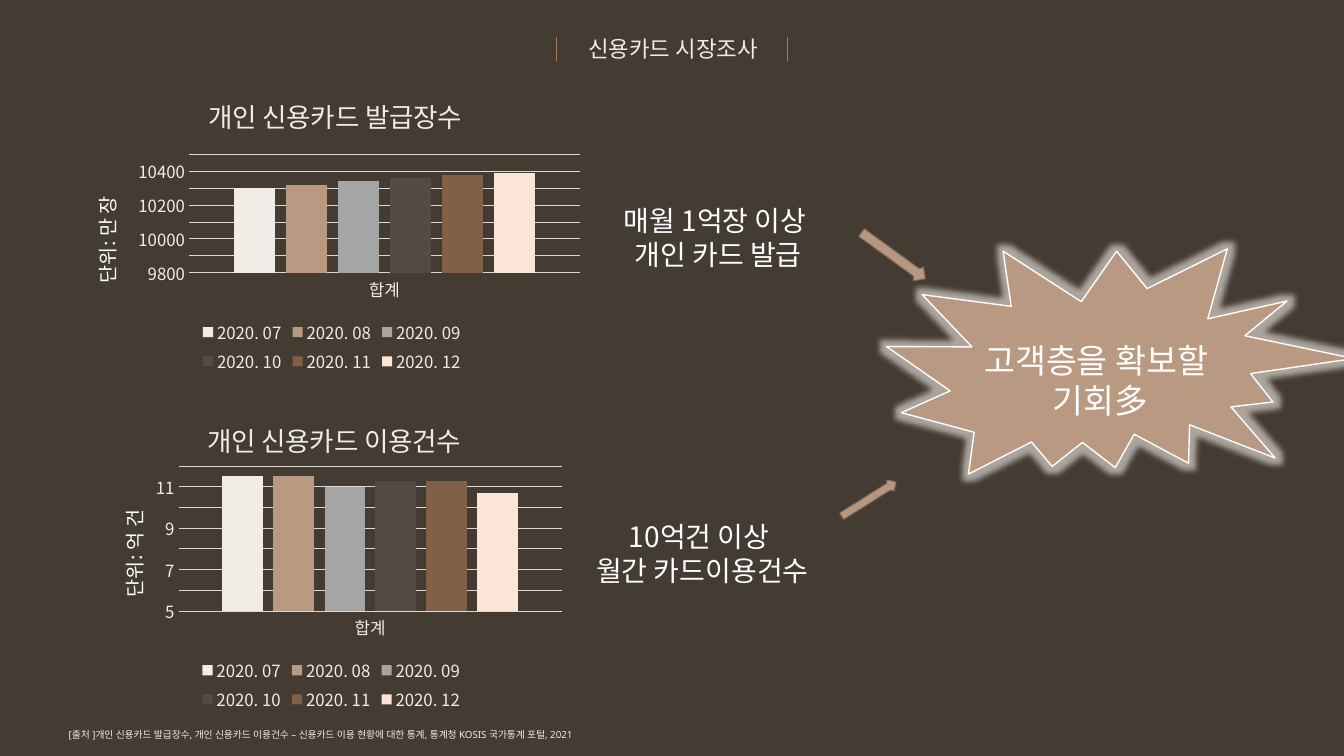
from lxml import etree
from pptx import Presentation
from pptx.chart.data import CategoryChartData
from pptx.dml.color import RGBColor
from pptx.enum.chart import XL_CHART_TYPE, XL_LEGEND_POSITION, XL_TICK_MARK
from pptx.enum.shapes import MSO_CONNECTOR, MSO_SHAPE
from pptx.enum.text import MSO_ANCHOR, PP_ALIGN
from pptx.oxml.ns import qn
from pptx.util import Pt

PX = 9525
COLUMNS = XL_CHART_TYPE.COLUMN_CLUSTERED
BOTTOM = XL_LEGEND_POSITION.BOTTOM
NO_TICK = XL_TICK_MARK.NONE
STRAIGHT = MSO_CONNECTOR.STRAIGHT
ARROW, BURST = MSO_SHAPE.RIGHT_ARROW, MSO_SHAPE.EXPLOSION2
MIDDLE = MSO_ANCHOR.MIDDLE
LEFT, CENTER = PP_ALIGN.LEFT, PP_ALIGN.CENTER
LATIN, KOREAN = "Noto Sans", "Noto Sans CJK KR"
COLORS = {
    "background": "443B32", "cream": "F1ECE6", "tan": "B99981",
    "rule": "A07759", "grid": "D9D9D9", "white": "FFFFFF",
}
MONTHS = {
    "2020. 07": "F1ECE6", "2020. 08": "B99981", "2020. 09": "A5A5A5",
    "2020. 10": "554B45", "2020. 11": "816047", "2020. 12": "FBE5D6",
}


def rgb(name):
    return RGBColor.from_string(COLORS[name])


def emu(box):
    return [length * PX for length in box]


def style(paragraph, size, color="white", font_name=KOREAN, align=None):
    font = paragraph.font
    font.size, font.name, font.bold = Pt(size), font_name, False
    font.color.rgb = rgb(color)
    if align is not None:
        paragraph.alignment = align
    properties = paragraph._p.pPr.find(qn("a:defRPr"))
    etree.SubElement(properties, qn("a:ea"), typeface=font_name)


def add_text(slide, box, lines, size, color="white", font_name=KOREAN,
             align=CENTER, wrap=True):
    frame = slide.shapes.add_textbox(*emu(box)).text_frame
    frame.word_wrap = wrap
    frame.text = "\n".join(lines)
    for paragraph in frame.paragraphs:
        style(paragraph, size, color, font_name, align)


def add_effect(shape, tag, radius):
    effects = shape._element.spPr.find(qn("a:effectLst"))
    return etree.SubElement(effects, qn(tag), rad=str(Pt(radius)))


def add_tan_shape(slide, kind, box, rotation):
    shape = slide.shapes.add_shape(kind, *emu(box))
    shape.rotation = rotation
    shape.shadow.inherit = False
    shape.fill.solid()
    shape.fill.fore_color.rgb = rgb("tan")
    shape.line.fill.background()
    return shape


def place(element, chart_box, position, inner=False):
    """Fix a chart part at px offsets from the chart's corner."""
    layout = element.find(qn("c:layout"))
    if layout is None:
        layout = etree.Element(qn("c:layout"))
        element.insert(0, layout)
    manual = etree.SubElement(layout, qn("c:manualLayout"))
    if inner:
        etree.SubElement(manual, qn("c:layoutTarget"), val="inner")
    for tag in ("c:xMode", "c:yMode"):
        etree.SubElement(manual, qn(tag), val="edge")
    spans = (chart_box[2], chart_box[3]) * 2
    for tag, length, span in zip("xywh", position, spans):
        etree.SubElement(manual, qn("c:" + tag), val=f"{length / span:.4f}")


def add_header(slide, box, text):
    left, top, width, height = box
    # Title
    title = slide.shapes.title
    title.left, title.top, title.width, title.height = emu(box)
    frame = title.text_frame
    frame.text = text
    frame.word_wrap = False
    frame.vertical_anchor = MIDDLE
    style(frame.paragraphs[0], 16, "cream", LATIN, CENTER)
    # Rules on both sides
    for x in (left - 10, left + width + 8):
        rule = slide.shapes.add_connector(
            STRAIGHT, *emu((x, top + 6, x, top + 29)))
        rule.line.color.rgb = rgb("rule")
        rule.line.width = Pt(1.25)
        etree.SubElement(rule._element.spPr, qn("a:effectLst"))


def add_month_chart(slide, box, title, unit, values, scale, number_format,
                    title_at, unit_at, plot_at):
    data = CategoryChartData(number_format=number_format)
    data.categories = ["합계"]
    for month, value in zip(MONTHS, values):
        data.add_series(month, [value])
    chart = slide.shapes.add_chart(COLUMNS, *emu(box), data).chart
    chart.font.size, chart.font.name = Pt(12), KOREAN
    chart.font.color.rgb = rgb("cream")

    # Titles
    chart.has_title = True
    chart_title = chart.chart_title
    chart_title.text_frame.text = title
    style(chart_title.text_frame.paragraphs[0], 19, "cream")
    place(chart_title._element, box, title_at)
    value_axis, category_axis = chart.value_axis, chart.category_axis
    unit_title = value_axis.axis_title
    unit_title.text_frame.text = unit
    unit_title.text_frame._txBody.bodyPr.set("rot", "-5400000")
    style(unit_title.text_frame.paragraphs[0], 14)
    place(unit_title._element, box, unit_at)

    # Axes
    for axis in (value_axis, category_axis):
        axis.major_tick_mark = axis.minor_tick_mark = NO_TICK
    (value_axis.minimum_scale, value_axis.maximum_scale,
     value_axis.major_unit) = scale
    value_axis.tick_labels.number_format = number_format
    value_axis.tick_labels.number_format_is_linked = False
    value_axis.format.line.fill.background()
    for line in (value_axis.major_gridlines.format.line,
                 category_axis.format.line):
        line.color.rgb = rgb("grid")
        line.width = Pt(0.75)

    # Columns and legend
    plot = chart.plots[0]
    plot.gap_width, plot.overlap, plot.vary_by_categories = 219, -27, False
    for series, color in zip(plot.series, MONTHS.values()):
        series.format.fill.solid()
        series.format.fill.fore_color.rgb = RGBColor.from_string(color)
    chart.has_legend = True
    chart.legend.position = BOTTOM
    chart.legend.include_in_layout = False
    place(chart._chartSpace.chart.plotArea, box, plot_at, inner=True)


def add_conclusion(slide, box):
    left, top, width, height = box
    # Glowing burst
    burst = add_tan_shape(slide, BURST, box, 11.1)
    burst.line.color.rgb = rgb("white")
    burst.line.width = Pt(1)
    glow = add_effect(burst, "a:glow", 8)
    color = etree.SubElement(glow, qn("a:srgbClr"), val=COLORS["cream"])
    etree.SubElement(color, qn("a:alpha"), val="60000")
    add_text(slide, (left - 121, top + 100, 640, 87),
             ["고객층을 확보할", " 기회多"], 24)
    # Arrows leading to the burst
    for x, y, arrow_width, arrow_height, rotation in (
            (-49, 246, 64, 21, 328.1), (-33, 12, 78, 25, 36)):
        arrow = add_tan_shape(
            slide, ARROW, (left + x, top + y, arrow_width, arrow_height),
            rotation)
        add_effect(arrow, "a:softEdge", 1)


def main():
    presentation = Presentation()
    presentation.slide_width, presentation.slide_height = emu((1280, 720))
    slide = presentation.slides.add_slide(presentation.slide_layouts[5])
    slide.background.fill.solid()
    slide.background.fill.fore_color.rgb = rgb("background")

    add_header(slide, (540, 29, 202, 35), "신용카드 시장조사")
    add_month_chart(
        slide, (70, 80, 492, 280), "개인 신용카드 발급장수", "단위: 만 장",
        (10300, 10320, 10340, 10360, 10380, 10390), (9800, 10500, 100), "0",
        (124, 5), (12, 103), (110, 67, 372, 113))
    add_month_chart(
        slide, (87, 375, 457, 307), "개인 신용카드 이용건수", "단위: 억 건",
        (11.5, 11.5, 11, 11.3, 11.3, 10.7), (5, 12, 1), "General",
        (106, 18), (21, 107), (83, 69, 365, 138))
    add_text(slide, (429, 189, 510, 74),
             ["매월 1억장 이상 ", "개인 카드 발급"], 20)
    add_text(slide, (349, 490, 640, 74),
             ["10억건 이상 ", "월간 카드이용건수"], 20)
    add_conclusion(slide, (845, 219, 439, 258))
    add_text(slide, (56, 689, 530, 21),
             ["[출처 ]개인 신용카드 발급장수, 개인 신용카드 이용건수 – 신용카드 "
              "이용 현황에 대한 통계, 통계청 KOSIS 국가통계 포털, 2021"],
             7, "cream", LATIN, LEFT, wrap=False)
    presentation.save("out.pptx")


if __name__ == "__main__":
    main()
